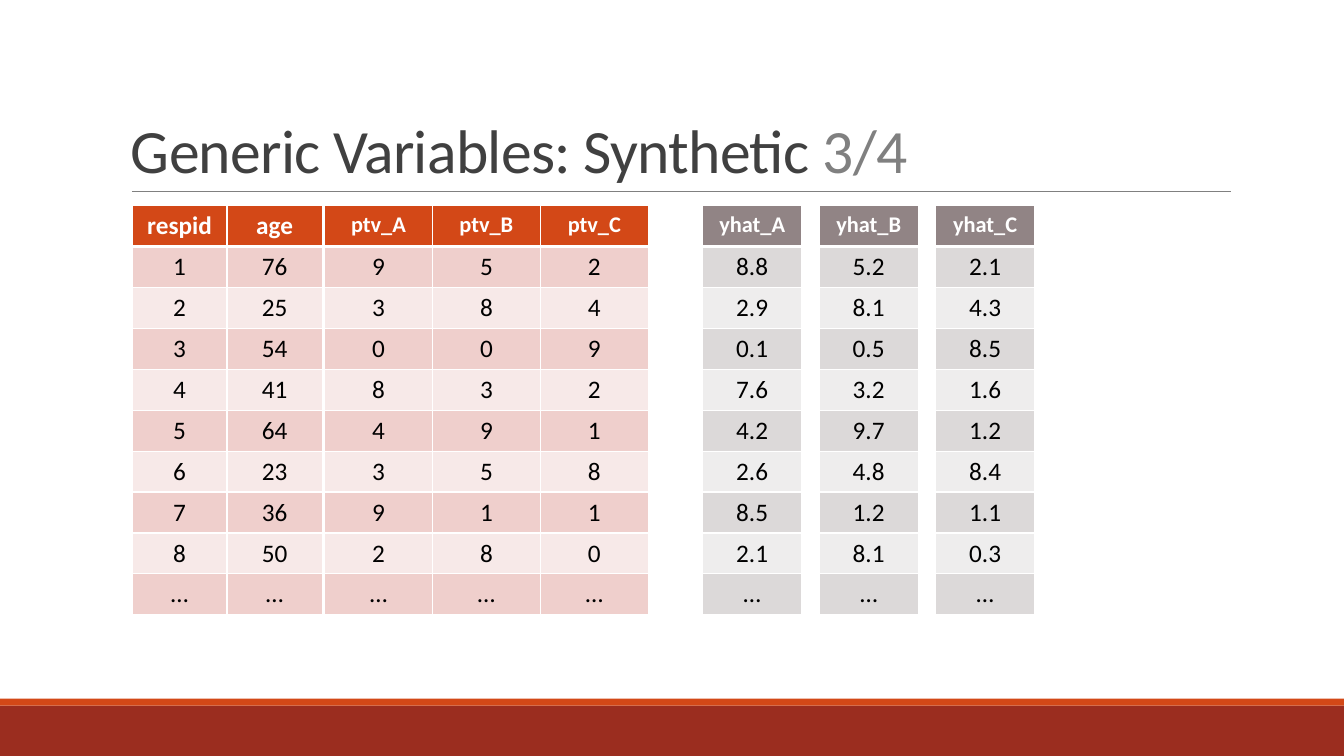
from lxml import etree
from pptx import Presentation
from pptx.dml.color import RGBColor
from pptx.enum.shapes import MSO_CONNECTOR as CONN, MSO_SHAPE as SHAPE
from pptx.enum.text import MSO_ANCHOR as ANCHOR, PP_ALIGN as ALIGN
from pptx.oxml import parse_xml
from pptx.oxml.ns import nsdecls, qn
from pptx.util import Pt

FONT = "Calibri"
RED = ("D34817", "EFCFCC", "F7E9E8")
GREY = ("918485", "DCD9D9", "EEEDED")
TABLE_TOP, ROW_H = 146.9, 29.23


def rgb(value):
    """Turn a hex string into a colour."""
    return RGBColor.from_string(value)


def style_cell(cell, row, size, colors):
    """Fill, border and format one cell of a banded table."""
    head, odd, even = colors
    cell.fill.solid()
    cell.fill.fore_color.rgb = rgb(head if row == 0 else odd if row % 2 else even)
    tcPr = cell._tc.get_or_add_tcPr()
    for i, side in enumerate("LRTB"):
        thick = (side == "B" and row == 0) or (side == "T" and row == 1)
        tcPr.insert(i, parse_xml(
            f'<a:ln{side} {nsdecls("a")} w="{Pt(3 if thick else 1)}"><a:solidFill>'
            f'<a:srgbClr val="FFFFFF"/></a:solidFill></a:ln{side}>'))
    p = cell.text_frame.paragraphs[0]
    p.alignment = ALIGN.CENTER
    font = p.runs[0].font
    font.name, font.bold = FONT, row == 0
    font.size = Pt(size if row == 0 else 18)
    font.color.rgb = rgb("FFFFFF" if row == 0 else "000000")


prs = Presentation()
prs.slide_width, prs.slide_height = Pt(960), Pt(540)
s = prs.slides.add_slide(prs.slide_layouts[6])

# Footer bands
for top, height, color in [(504, 36, "9B2D1F"), (499, 5, "D34817")]:
    band = s.shapes.add_shape(SHAPE.RECTANGLE, 0, Pt(top), prs.slide_width, Pt(height))
    band.shadow.inherit = False
    band.fill.solid()
    band.fill.fore_color.rgb = rgb(color)
    band.line.fill.background()

# Rule under the title
rule = s.shapes.add_connector(CONN.STRAIGHT, Pt(94.3), Pt(136.8), Pt(879), Pt(136.8))
rule.line.color.rgb = rgb("808080")
rule.line.width = Pt(0.5)
etree.SubElement(rule._element.spPr, qn("a:effectLst"))

# Title
title = s.shapes.add_textbox(Pt(86.4), Pt(22.3), Pt(792), Pt(114.5))
tf = title.text_frame
tf.word_wrap = True
tf.vertical_anchor = ANCHOR.BOTTOM
p = tf.paragraphs[0]
p.line_spacing = 0.85
for text, color in [("Generic Variables: Synthetic ", "404040"), ("3/4 ", "808080")]:
    r = p.add_run()
    r.text = text
    r.font.name, r.font.size = FONT, Pt(44)
    r.font.color.rgb = rgb(color)
    r.font._element.set("spc", "-50")

# Tables: left, column width, header size, colours, columns of text
tables = [
    (231.8 + 77.1 * i, 77.1, 16, RED, [column])
    for i, column in enumerate(["ptv_A 9 3 0 8 4 3 9 2 …",
                                "ptv_B 5 8 0 3 9 5 1 8 …",
                                "ptv_C 2 4 9 2 1 8 1 0 …"])
]
tables.append((94.3, 67.9, 18, RED, ["respid 1 2 3 4 5 6 7 8 …",
                                     "age 76 25 54 41 64 23 36 50 …"]))
tables += [
    (501.8 + 83.2 * i, 71, 16, GREY, [column])
    for i, column in enumerate(["yhat_A 8.8 2.9 0.1 7.6 4.2 2.6 8.5 2.1 …",
                                "yhat_B 5.2 8.1 0.5 3.2 9.7 4.8 1.2 8.1 …",
                                "yhat_C 2.1 4.3 8.5 1.6 1.2 8.4 1.1 0.3 …"])
]

for left, width, size, colors, columns in tables:
    rows = list(zip(*(column.split() for column in columns)))
    table = s.shapes.add_table(len(rows), len(columns), Pt(left), Pt(TABLE_TOP),
                               Pt(width * len(columns)), Pt(ROW_H * len(rows))).table
    for column in table.columns:
        column.width = Pt(width)
    for y, values in enumerate(rows):
        table.rows[y].height = Pt(ROW_H)
        for x, value in enumerate(values):
            cell = table.cell(y, x)
            cell.text_frame.text = value
            style_cell(cell, y, size, colors)

prs.save("out.pptx")
